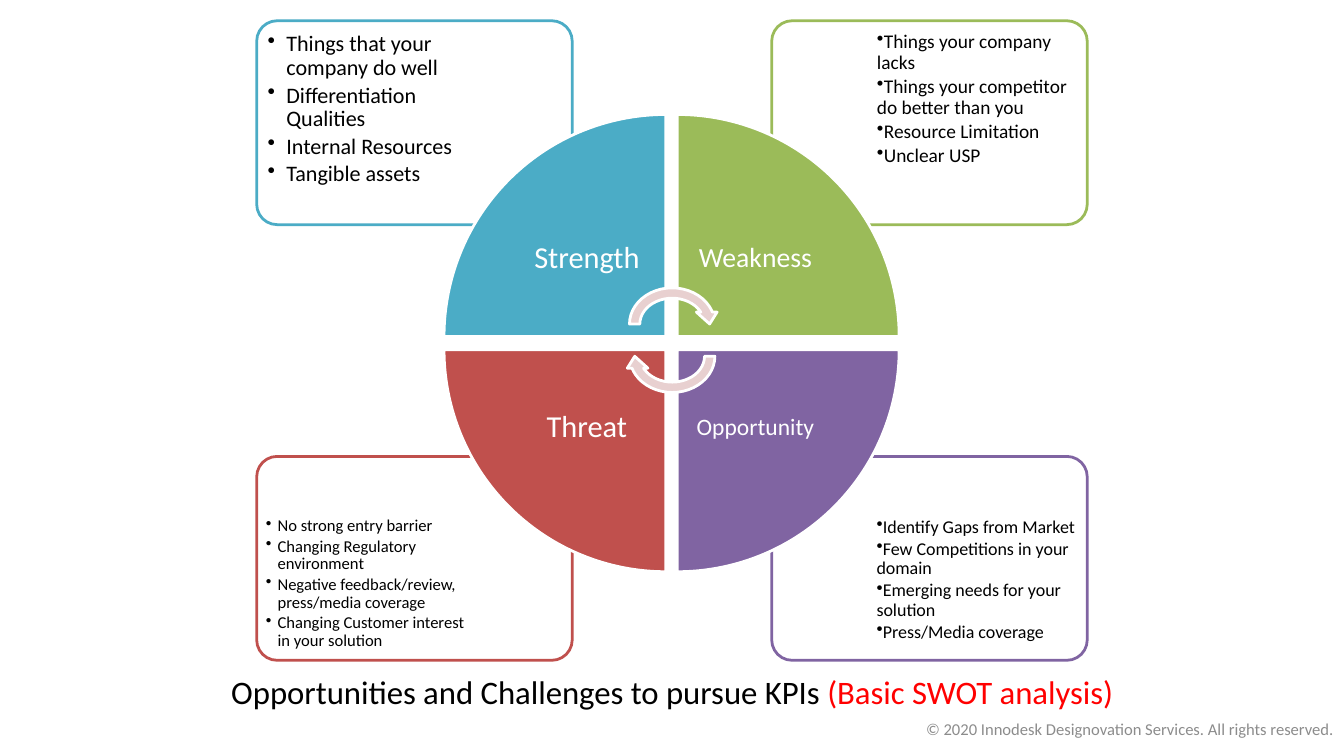
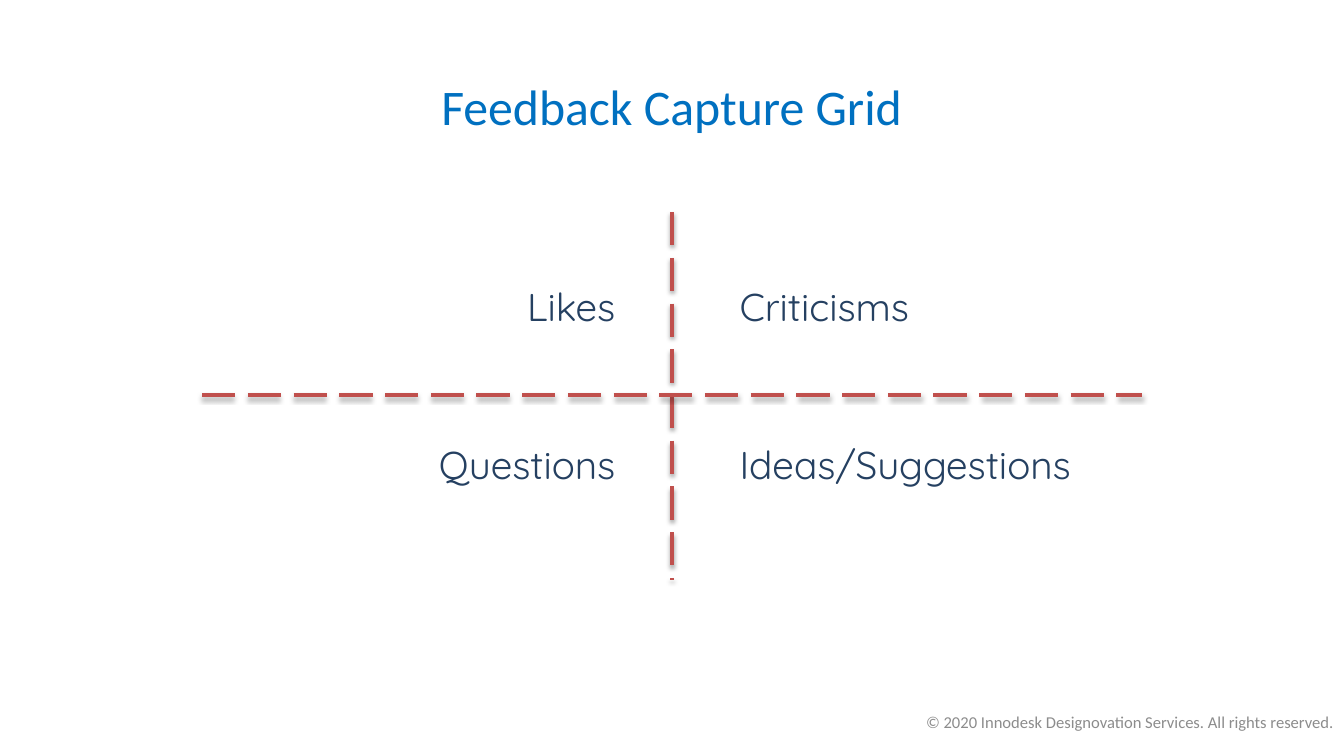
from lxml import etree
from pptx import Presentation
from pptx.dml.color import RGBColor
from pptx.enum.dml import MSO_LINE
from pptx.enum.shapes import MSO_CONNECTOR, MSO_SHAPE
from pptx.enum.text import MSO_ANCHOR, MSO_AUTO_SIZE, PP_ALIGN
from pptx.oxml.ns import qn
from pptx.util import Cm, Pt

LEFT, MID, RIGHT = PP_ALIGN.LEFT, PP_ALIGN.CENTER, PP_ALIGN.RIGHT
TOP, HALF = MSO_ANCHOR.TOP, MSO_ANCHOR.MIDDLE
CARD, WEDGE, ARROW = (MSO_SHAPE.ROUNDED_RECTANGLE, MSO_SHAPE.PIE_WEDGE,
                      MSO_SHAPE.CIRCULAR_ARROW)
DASH, LINE = MSO_LINE.LONG_DASH, MSO_CONNECTOR.STRAIGHT
FIT = MSO_AUTO_SIZE.NONE

WIDE, HIGH = 34.29, 19.05
AXIS = WIDE / 2
TEAL, GREEN, RED, PLUM = "4BACC6", "9BBB59", "C0504D", "8064A2"
BLACK, WHITE, ALERT, GREY = "000000", "FFFFFF", "FF0000", "8C8C8C"
PINK, BLUE, NAVY = "E8D0D0", "0070C0", "254061"
NOTICE = "© 2020 Innodesk Designovation Services. All rights reserved."

# name, colour, label size, list size, hanging indent, column, row, turn, points
SWOT = [
    ("Opportunity", PLUM, 17, 13, 0, 1, 1, 180,
     ["Identify Gaps from Market", "Few Competitions in your domain",
      "Emerging needs for your solution", "Press/Media coverage"]),
    ("Threat", RED, 22, 12, 0.3, 0, 1, 270,
     ["No strong entry barrier", "Changing Regulatory environment",
      "Negative feedback/review, press/media coverage",
      "Changing Customer interest in your solution"]),
    ("Weakness", GREEN, 20, 14, 0, 1, 0, 90,
     ["Things your company lacks", "Things your competitor do better than you",
      "Resource Limitation", "Unclear USP"]),
    ("Strength", TEAL, 22, 16, 0.48, 0, 0, 0,
     ["Things that your company do well", "Differentiation Qualities",
      "Internal Resources", "Tangible assets"]),
]
GRID = [("Likes", 0, 0), ("Criticisms", 1, 0),
        ("Questions", 0, 1), ("Ideas/Suggestions", 1, 1)]


def tint(code):
    return RGBColor.from_string(code)


def apply(item, values):
    for name, value in values.items():
        setattr(item, name, value)


class Deck:
    def __init__(self):
        self.file = Presentation()
        apply(self.file, {"slide_width": Cm(WIDE), "slide_height": Cm(HIGH)})
        self.slide = None

    def page(self):
        self.slide = self.file.slides.add_slide(self.file.slide_layouts[5])

    def label(self, box, paras, size, align=LEFT, anchor=TOP, pad=None,
              gap=0, lead=1.0, font="Calibri", hang=None):
        """Fill a box; each paragraph is a list of (text, colour) runs.
        gap is a share of the size, and hang turns bullets on."""
        frame = box.text_frame
        apply(frame, {"word_wrap": True, "auto_size": FIT,
                      "vertical_anchor": anchor})
        side, edge = (0.25, 0.13) if pad is None else (pad, pad)
        apply(frame, {"margin_left": Cm(side), "margin_right": Cm(side),
                      "margin_top": Cm(edge), "margin_bottom": Cm(edge)})
        for i, runs in enumerate(paras):
            para = frame.add_paragraph() if i else frame.paragraphs[0]
            apply(para, {"alignment": align, "line_spacing": lead,
                         "space_before": Pt(0),
                         "space_after": Pt(round(size * gap, 1))})
            if hang is not None:
                props = para._p.get_or_add_pPr()
                props.set("marL", str(Cm(hang)))
                props.set("indent", str(-Cm(hang)))
                etree.SubElement(props, qn("a:buChar")).set("char", "•")
            for text, color in runs:
                run = para.add_run()
                run.text = text
                apply(run.font, {"name": font, "size": Pt(size)})
                run.font.color.rgb = tint(color)

    def title(self, area, runs, size, **style):
        box = self.slide.shapes.title
        spot = dict(zip(("left", "top", "width", "height"), map(Cm, area)))
        apply(box, spot)
        self.label(box, [runs], size, MID, **style)

    def text(self, area, paras, size, **style):
        box = self.slide.shapes.add_textbox(*map(Cm, area))
        self.label(box, paras, size, **style)

    def shape(self, kind, area, fill, line, turn=0):
        item = self.slide.shapes.add_shape(kind, *map(Cm, area))
        item.shadow.inherit = False
        item.rotation = turn
        item.fill.solid()
        item.fill.fore_color.rgb = tint(fill)
        item.line.color.rgb = tint(line)
        item.line.width = Pt(2)
        return item

    def dash(self, *ends):
        line = self.slide.shapes.add_connector(LINE, *map(Cm, ends))
        line.line.color.rgb = tint(RED)
        apply(line.line, {"width": Pt(3), "dash_style": DASH})
        effects = etree.SubElement(line._element.spPr, qn("a:effectLst"))
        shade = etree.SubElement(effects, qn("a:outerShdw"), blurRad=str(Pt(3.1)),
                                 dist=str(Pt(1.8)), dir="5400000", rotWithShape="0")
        color = etree.SubElement(shade, qn("a:srgbClr"), val=BLACK)
        etree.SubElement(color, qn("a:alpha"), val="35000")

    def footer(self, top):
        self.text((18.29, top, 16, 1.02), [[(NOTICE, GREY)]], 12, align=RIGHT)


def swot(deck):
    deck.page()
    deck.title((3.84, 16.64, 26.62, 1.96),
               [("Opportunities and Challenges to pursue KPIs ", BLACK),
                ("(Basic SWOT analysis)", ALERT)], 23.7, anchor=HALF)
    for _, color, _, size, hang, col, row, _, points in SWOT:
        area = ((6.55, 19.69)[col], (0.53, 11.64)[row], 8.05, 5.2)
        deck.shape(CARD, area, WHITE, color).adjustments[0] = 0.1
        deck.text(((6.65, 22.22)[col], (0.66, 13.06)[row], 5.41, 3.68),
                  [[(point, BLACK)] for point in points], size,
                  pad=size / 90, gap=0.15, lead=0.9, hang=hang)
    for name, color, size, _, _, col, row, turn, _ in SWOT:
        area = ((11.33, 17.28)[col], (2.92, 8.92)[row], 5.66, 5.66)
        deck.shape(WEDGE, area, color, WHITE, turn)
        deck.text(((12.98, 17.28)[col], (4.6, 8.92)[row], 3.99, 3.99),
                  [[(name, WHITE)]], size, align=MID, anchor=HALF,
                  pad=size / 50, gap=0.35, lead=0.9)
    for top, turn in ((7.21, 0), (8.03, 180)):
        deck.shape(ARROW, (15.93, top, 2.44, 2.11), PINK, WHITE, turn)
    deck.footer(18.21)


def feedback(deck):
    deck.page()
    deck.title((7.87, 1.98, 18.54, 1.65),
               [("Feedback Capture Grid", BLUE)], 36, lead=0.9)
    deck.dash(AXIS, 5.41, AXIS, 14.78)
    deck.dash(5.16, 10.08, 29.13, 10.08)
    for name, col, row in GRID:
        deck.text(((5.75, 18.62)[col], (7.09, 11.1)[row], 10.2, 1.45),
                  [[(name, NAVY)]], 28, align=(RIGHT, LEFT)[col],
                  font="Quicksand")
    deck.footer(18.03)


def main():
    deck = Deck()
    swot(deck)
    feedback(deck)
    deck.file.save("out.pptx")


if __name__ == "__main__":
    main()
